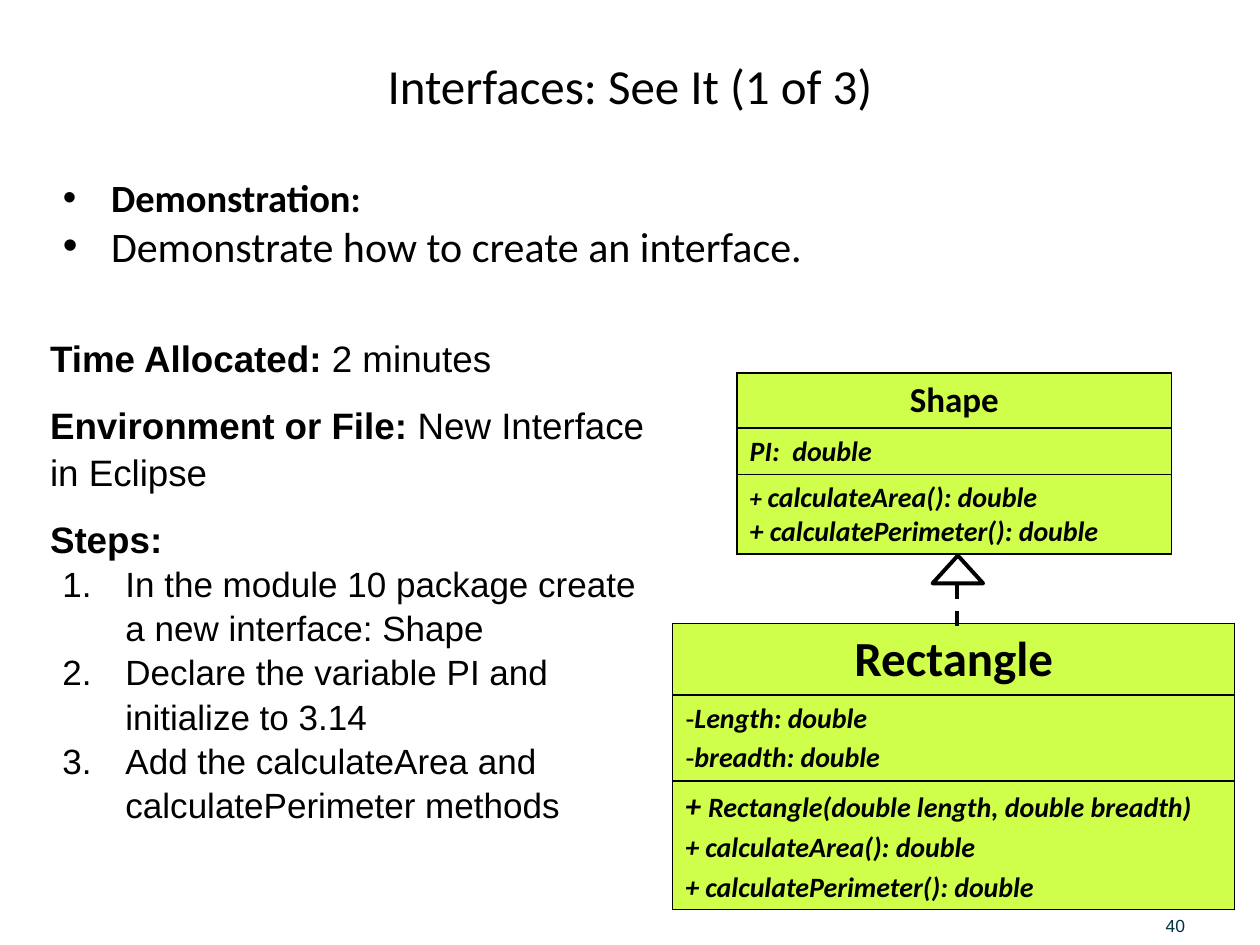
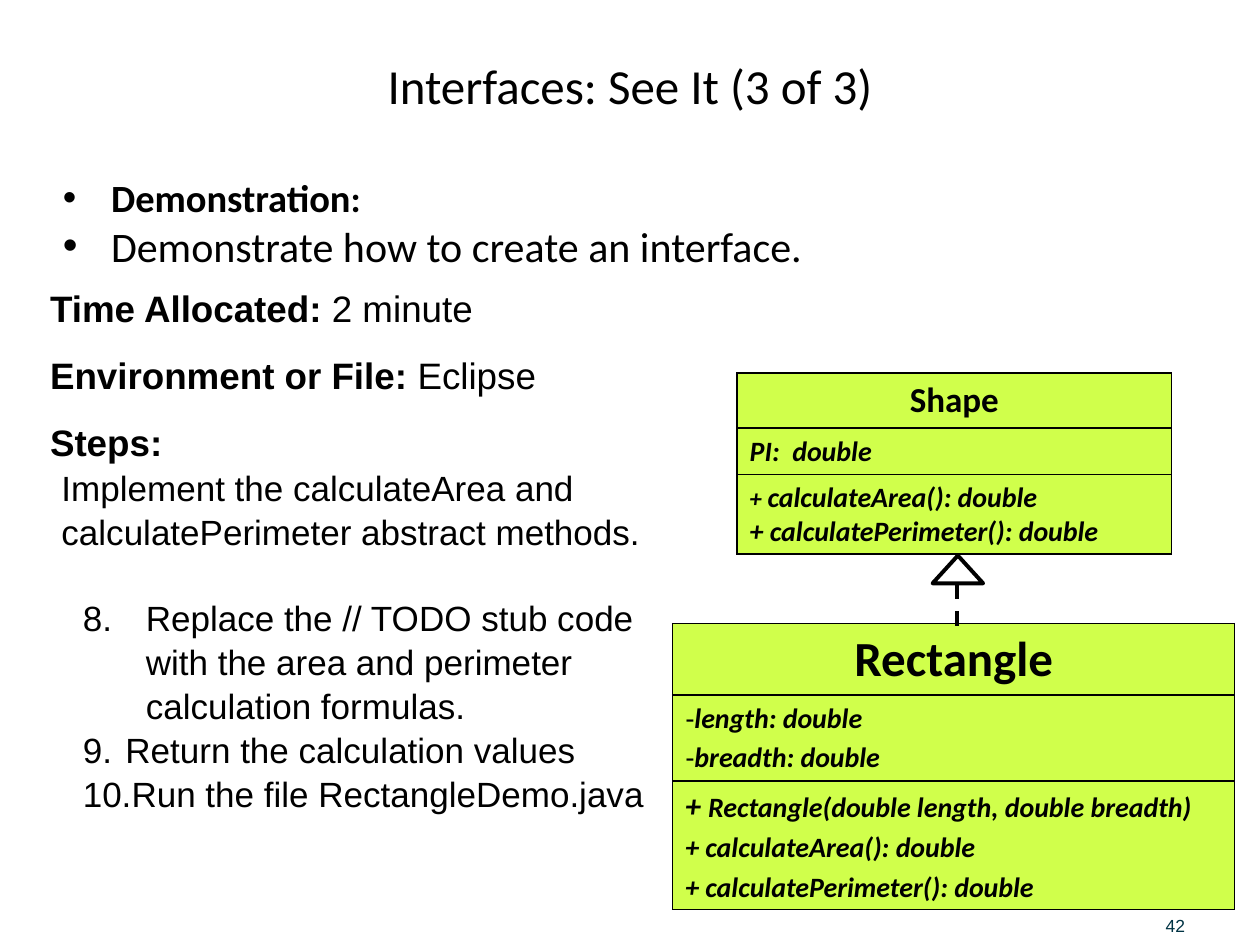
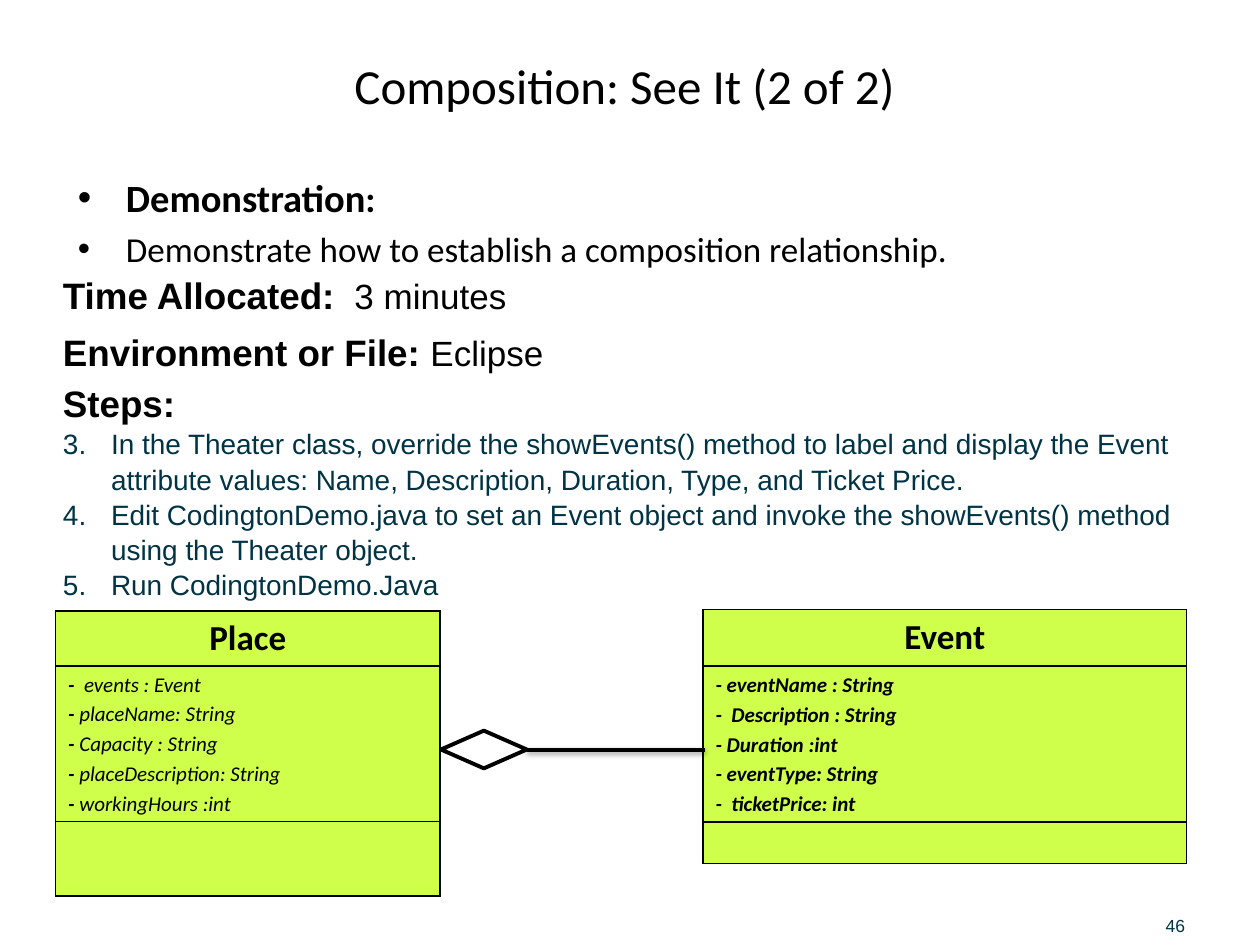
from typing import NamedTuple

import lxml.etree
import pptx
import pptx.dml.color
import pptx.enum.dml
import pptx.enum.shapes
import pptx.enum.text
import pptx.oxml.ns
import pptx.slide
import pptx.text.text
import pptx.util

Cm = pptx.util.Cm
Pt = pptx.util.Pt
qn = pptx.oxml.ns.qn
Align = pptx.enum.text.PP_ALIGN
Anchor = pptx.enum.text.MSO_ANCHOR
Kind = pptx.enum.shapes.MSO_SHAPE

HUES = {"black": "000000", "teal": "003344", "lime": "D0FF4B"}
HEAD, BODY = "Calibri", "Arial"


class Bit(NamedTuple):
    text: str
    size: int
    bold: bool = False
    hue: str = "black"


class Para(NamedTuple):
    """A paragraph; a text mark is a bullet, a number starts a numbered list."""
    bits: list[Bit]
    gap: float = 0
    left: float = 0
    hang: float = 0
    mark: str | int = ""


class Box(NamedTuple):
    left: float
    top: float
    width: float
    height: float


class Model(NamedTuple):
    """A class diagram: name, then one cell of fields and one of methods."""
    left: float
    top: float
    width: float
    rows: list[float]
    name: Bit
    fields: list[Para]
    methods: list[Para]


class Page(NamedTuple):
    title: str
    number: int
    intro: Box
    points: list[Para]
    area: Box
    notes: list[Para]
    models: list[Model]


def rgb(hue: str) -> pptx.dml.color.RGBColor:
    return pptx.dml.color.RGBColor.from_string(HUES[hue])


def sub(parent, tag: str, **attrs):
    return lxml.etree.SubElement(parent, qn(tag), attrs)


def set_mark(props, para: Para) -> None:
    props.set("marL", str(Cm(para.left)))
    props.set("indent", str(Cm(para.hang)))
    if isinstance(para.mark, int):
        sub(props, "a:buFont", typeface=BODY)
        sub(props, "a:buAutoNum", type="arabicPeriod", startAt=str(para.mark))
    elif para.mark:
        sub(props, "a:buFont", typeface=BODY)
        sub(props, "a:buChar", char=para.mark)
    else:
        sub(props, "a:buNone")


def write(frame: pptx.text.text.TextFrame, paras: list[Para], font: str,
          align=Align.LEFT, slant: bool = False, pitch: float = 1.0) -> None:
    frame.word_wrap = True
    for i, para in enumerate(paras):
        line = frame.add_paragraph() if i else frame.paragraphs[0]
        set_mark(line._p.get_or_add_pPr(), para)
        line.alignment = align
        line.line_spacing = pitch
        if i and para.gap:
            line.space_before = Pt(para.gap)
        for bit in para.bits:
            run = line.add_run()
            run.text = bit.text
            run.font.name = font
            run.font.size = Pt(bit.size)
            run.font.bold = bit.bold
            run.font.italic = slant
            run.font.color.rgb = rgb(bit.hue)


def add_text(slide: pptx.slide.Slide, box: Box, paras: list[Para], font: str,
             **style) -> pptx.text.text.TextFrame:
    frame = slide.shapes.add_textbox(*map(Cm, box)).text_frame
    write(frame, paras, font, **style)
    return frame


def add_edge(cell) -> None:
    props = cell._tc.get_or_add_tcPr()
    for i, side in enumerate("LRTB"):
        edge = sub(props, f"a:ln{side}", w=str(Pt(1)))
        fill = sub(edge, "a:solidFill")
        sub(fill, "a:srgbClr", val=HUES["black"])
        props.insert(i, edge)


def add_model(slide: pptx.slide.Slide, model: Model) -> None:
    shape = slide.shapes.add_table(3, 1, Cm(model.left), Cm(model.top),
                                   Cm(model.width), Cm(sum(model.rows)))
    table = shape.table
    table.first_row = table.horz_banding = False
    parts = [[Para([model.name])], model.fields, model.methods]
    for i, (high, paras) in enumerate(zip(model.rows, parts)):
        table.rows[i].height = Cm(high)
        cell = table.cell(i, 0)
        cell.fill.solid()
        cell.fill.fore_color.rgb = rgb("lime")
        add_edge(cell)
        if not paras:
            cell.margin_top = cell.margin_bottom = 0
        write(cell.text_frame, paras, HEAD, slant=i > 0,
              align=Align.LEFT if i else Align.CENTER)


def ink(line) -> None:
    line.color.rgb = rgb("black")
    line.width = Pt(2.25)


def add_end(slide: pptx.slide.Slide, kind, box: Box) -> None:
    """Draw the hollow symbol at the end of a relation."""
    shape = slide.shapes.add_shape(kind, *map(Cm, box))
    shape.shadow.inherit = False
    shape.fill.background()
    ink(shape.line)


def add_link(slide: pptx.slide.Slide, x: float, y: float, x2: float, y2: float,
             dash: bool = False, shade: bool = False) -> None:
    link = slide.shapes.add_connector(
        pptx.enum.shapes.MSO_CONNECTOR.STRAIGHT, Cm(x), Cm(y), Cm(x2), Cm(y2))
    ink(link.line)
    if dash:
        link.line.dash_style = pptx.enum.dml.MSO_LINE.DASH
    effects = sub(link._element.spPr, "a:effectLst")
    if shade:
        cast = sub(effects, "a:outerShdw", blurRad=str(Pt(3.1)),
                   dist=str(Pt(1.6)), dir="5400000", rotWithShape="0")
        tint = sub(cast, "a:srgbClr", val=HUES["black"])
        sub(tint, "a:alpha", val="38000")


def add_page(deck, page: Page) -> pptx.slide.Slide:
    slide = deck.slides.add_slide(deck.slide_layouts[6])
    title = add_text(slide, Box(1.27, 0.51, 22.86, 2.41),
                     [Para([Bit(page.title, 28)])], HEAD, align=Align.CENTER)
    title.vertical_anchor = Anchor.MIDDLE
    add_text(slide, page.intro, page.points, HEAD)
    add_text(slide, page.area, page.notes, BODY, pitch=1.05)
    for model in page.models:
        add_model(slide, model)
    foot = add_text(slide, Box(23.5, 18.16, 1.75, 0.71),
                    [Para([Bit(str(page.number), 10, hue="teal")])], BODY)
    foot.margin_left = foot.margin_right = 0
    foot.margin_top = foot.margin_bottom = 0
    foot.vertical_anchor = Anchor.BOTTOM
    return slide


def demo(text: str, size: int, gap: float = 0) -> list[Para]:
    heads = [Bit("Demonstration", 22, True), Bit(":", 21, True)]
    return [Para(bits, gap, 0.97, -0.97, "•")
            for bits in (heads, [Bit(text, size)])]


def facts(time: str, place: str, size: int = 21,
          gaps: tuple[int, int] = (12, 12)) -> list[Para]:
    return [Para([Bit("Time Allocated: ", 21, True), Bit(time, size)]),
            Para([Bit("Environment or File: ", 21, True), Bit(place, size)], gaps[0]),
            Para([Bit("Steps:", 21, True)], gaps[1])]


def steps(texts: list[str], size: int, left: float, hang: float,
          start: int = 1, hue: str = "black") -> list[Para]:
    return [Para([Bit(text, size, hue=hue)], 0, left, hang, start) for text in texts]


def lines(texts: list[str], size: int, ratio: float = 0.2, mark: str = "") -> list[Para]:
    """Bold members of a class, spaced by a share of the text size."""
    return [Para([Bit(text, size, True)], ratio * size, mark=mark) for text in texts]


def plus(first: str, size: int, rest: list[str], ratio: float) -> list[Para]:
    """Methods whose first plus sign has its own size."""
    return [Para([Bit("+ ", size, True), Bit(first, 16, True)]),
            *lines(["+ " + text for text in rest], 16, ratio)]


AREA, RIM = "calculateArea(): double", "calculatePerimeter(): double"
SHAPE = Model(14.86, 7.52, 8.76, [1.11, 0.93, 1.6], Bit("Shape", 20, True),
              lines(["PI:  double"], 16), plus(AREA, 14, [RIM], 0))


def oblong(length: str) -> Model:
    return Model(13.56, 12.57, 11.33, [1.44, 1.73, 2.59], Bit("Rectangle", 28, True),
                 lines([length, "breadth: double"], 16, mark="-"),
                 plus("Rectangle(double length, double breadth)", 18, [AREA, RIM], 0.2))


PLACE = Model(
    1.12, 12.32, 7.75, [1.1, 3.14, 1.5], Bit("Place", 20, True),
    [Para([Bit("- ", 12, True), Bit(text, 12)], 2.4)
     for text in (" events : Event", "placeName: String", "Capacity : String",
                  "placeDescription: String", "workingHours :int")], [])
EVENT = Model(
    14.17, 12.29, 9.75, [1.14, 3.14, 0.84], Bit("Event", 20, True),
    lines(["- eventName : String", "-  Description : String", "- Duration :int",
           "- eventType: String", "-  ticketPrice: int"], 12), [])

INTRO = Box(1.02, 3.38, 17.7, 3.05)
CREATE = demo("Demonstrate how to create an interface.", 24)
FACES = [
    Page("Interfaces: See It (1 of 3)", 40, INTRO, CREATE,
         Box(0.76, 6.6, 12.65, 9.83),
         facts("2 minutes", "New Interface in Eclipse")
         + steps(["In the module 10 package create a new interface: Shape",
                  "Declare the variable PI and initialize to 3.14",
                  "Add the calculateArea and calculatePerimeter methods"],
                 20, 1.52, -1.27),
         [oblong("Length: double"), SHAPE]),
    Page("Interfaces: See It (3 of 3)", 42, INTRO, CREATE,
         Box(0.76, 5.59, 12.8, 11.51),
         facts("2 minute", "Eclipse")
         + [Para([Bit("Implement the calculateArea and calculatePerimeter "
                      "abstract methods.", 20)], left=0.23),
            Para([Bit("Replace the // TODO stub code with the area and perimeter "
                      "calculation formulas.", 20)], 24, 1.93, -1.27, 8)]
         + steps(["Return the calculation values",
                  "Run the file RectangleDemo.java"], 20, 1.52, -0.86, 8),
         [SHAPE, oblong("length: double")]),
]
WHOLE = Page(
    "Composition: See It (2 of 2) ", 46, Box(1.32, 3.38, 18.16, 3.05),
    demo("Demonstrate how to establish a composition relationship.", 20, 4),
    Box(1.02, 5.33, 23.37, 7.54),
    facts(" 3 minutes", "Eclipse", 20, (6, 3))
    + steps(["In the Theater class, override the showEvents() method to label and "
             "display the Event attribute values: Name, Description, Duration, Type, "
             "and Ticket Price.",
             "Edit CodingtonDemo.java to set an Event object and invoke the "
             "showEvents() method using the Theater object.",
             "Run CodingtonDemo.Java"], 16, 0.97, -0.97, 3, "teal"),
    [PLACE, EVENT])


def main() -> None:
    deck = pptx.Presentation()
    deck.slide_width, deck.slide_height = Cm(25.4), Cm(19.05)
    for page in FACES:
        slide = add_page(deck, page)
        add_end(slide, Kind.FLOWCHART_EXTRACT, Box(18.8, 11.2, 1.02, 0.56))
        add_link(slide, 19.3, 11.76, 19.3, 12.62, dash=True)
    slide = add_page(deck, WHOLE)
    add_end(slide, Kind.DIAMOND, Box(8.89, 14.73, 1.73, 0.76))
    add_link(slide, 10.62, 15.11, 14.22, 15.11, shade=True)
    deck.save("out.pptx")


if __name__ == "__main__":
    main()
